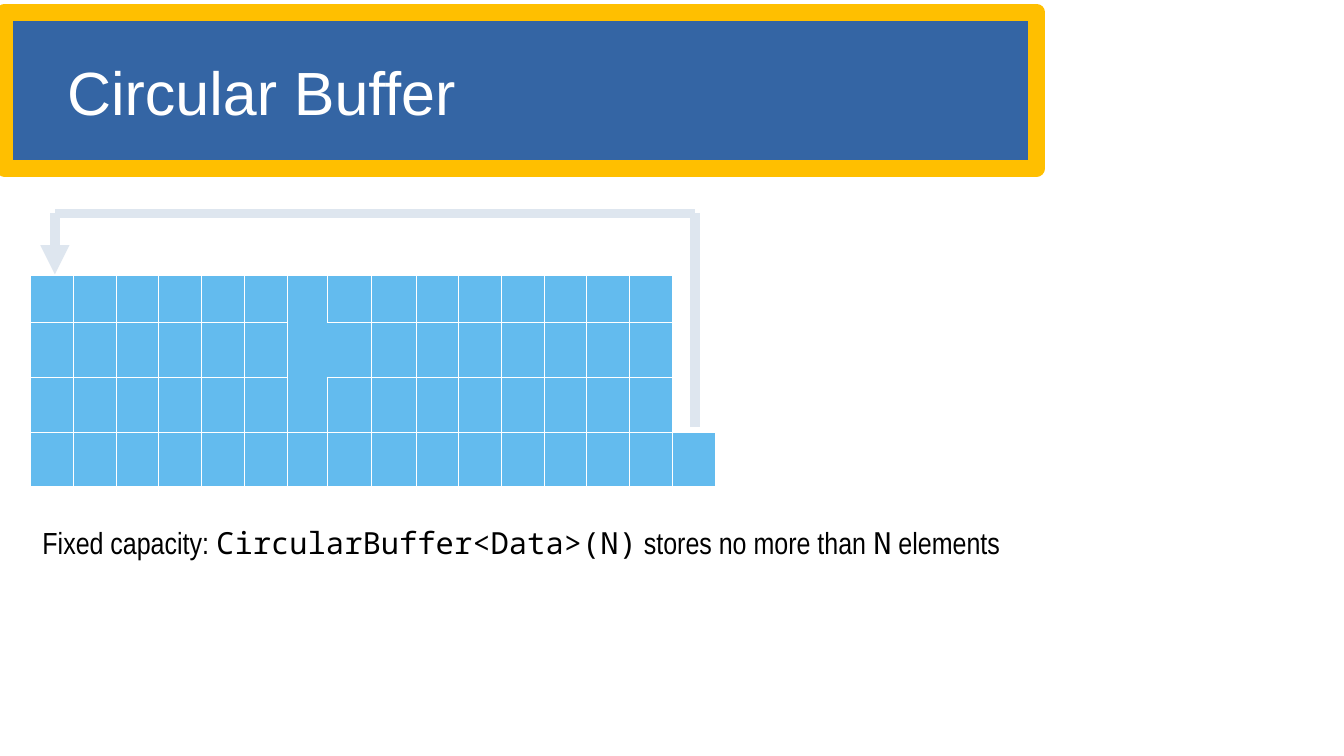
"""Build the Circular Buffer slide."""
from itertools import pairwise

from lxml import etree
from pptx import Presentation
from pptx import util as u
from pptx.dml.color import RGBColor
from pptx.enum import shapes, text
from pptx.oxml.ns import qn

WHITE, CELL_BLUE, ARROW_GREY = "FFFFFF", "63BBEE", "DEE6EF"
COL_WIDTHS = [0.35] * 6 + [0.33, 0.36, 0.37] + [0.35] * 7
ROW_HEIGHTS = [0.38] + [0.45] * 3
OPEN_CELL = (1, 6)
SIDES = {"L": (0, -1), "R": (0, 1), "T": (-1, 0), "B": (1, 0)}
NO_STYLE = "{2D5ABB26-0587-4C30-8999-92F81FD0307C}"


def color(value):
    """Turn a hex string into a colour."""
    return RGBColor.from_string(value)


def inches(*values):
    """Turn numbers into lengths."""
    return [u.Inches(v) for v in values]


def add_banner(slide, box, fill, line, width):
    """Add the filled title banner with its thick frame."""
    sp = slide.shapes.add_shape(shapes.MSO_SHAPE.RECTANGLE, *inches(*box))
    sp.shadow.inherit = False
    sp.fill.solid()
    sp.fill.fore_color.rgb = color(fill)
    sp.line.color.rgb = color(line)
    sp.line.width = u.Pt(width)


def add_text(slide, box, runs, size, hue, margins=(0.1, 0.05),
             anchor=text.MSO_ANCHOR.TOP):
    """Add one paragraph made of (words, font) runs."""
    tf = slide.shapes.add_textbox(*inches(*box)).text_frame
    tf.word_wrap = True
    tf.vertical_anchor = anchor
    tf.margin_left = tf.margin_right = u.Inches(margins[0])
    tf.margin_top = tf.margin_bottom = u.Inches(margins[1])
    p = tf.paragraphs[0]
    for words, font in runs:
        r = p.add_run()
        r.text = words
        r.font.name = font
        r.font.size = u.Pt(size)
        r.font.color.rgb = color(hue)


def add_border(cell, side, hue, width):
    """Draw one side of a table cell."""
    ln = etree.SubElement(cell._tc.get_or_add_tcPr(), qn(f"a:ln{side}"),
                          w=str(u.Pt(width)))
    fill = etree.SubElement(ln, qn("a:solidFill"))
    etree.SubElement(fill, qn("a:srgbClr"), val=hue)


def add_buffer(slide, left, top):
    """Add the buffer grid, whose last column is used only in the last row."""
    rows, cols = len(ROW_HEIGHTS), len(COL_WIDTHS)
    size = inches(left, top, sum(COL_WIDTHS), sum(ROW_HEIGHTS))
    table = slide.shapes.add_table(rows, cols, *size).table
    table.first_row = table.horz_banding = False
    table._tbl.tblPr.find(qn("a:tableStyleId")).text = NO_STYLE
    for col, width in zip(table.columns, COL_WIDTHS):
        col.width = u.Inches(width)
    for i, height in enumerate(ROW_HEIGHTS):
        table.rows[i].height = u.Inches(height)
        for j in range(cols):
            cell = table.cell(i, j)
            cell.margin_top = cell.margin_bottom = 0
            for side, (di, dj) in SIDES.items():
                if OPEN_CELL not in ((i, j), (i + di, j + dj)):
                    add_border(cell, side, WHITE, 0.06)
            unused = j == cols - 1 and i < rows - 1
            cell.fill.solid()
            cell.fill.fore_color.rgb = color(WHITE if unused else CELL_BLUE)


def add_line(slide, start, end, arrow=False):
    """Add one straight piece of the wrap-around arrow."""
    line = slide.shapes.add_connector(shapes.MSO_CONNECTOR.STRAIGHT,
                                      *inches(*start, *end))
    line.line.color.rgb = color(ARROW_GREY)
    line.line.width = u.Pt(5.75)
    if arrow:
        etree.SubElement(line.line._get_or_add_ln(), qn("a:tailEnd"),
                         type="triangle")
    etree.SubElement(line._element.spPr, qn("a:effectLst"))


def main():
    """Put the slide together and save it."""
    prs = Presentation()
    prs.slide_width, prs.slide_height = inches(11.02, 6.2)
    slide = prs.slides.add_slide(prs.slide_layouts[6])

    add_banner(slide, (0.04, 0.1, 8.46, 1.28), "3465A4", "FFBF00", 10.09)
    add_text(slide, (0.55, 0.24, 7.68, 1.02), [("Circular Buffer", "Arial")],
             36, WHITE, (0, 0), text.MSO_ANCHOR.MIDDLE)

    narrow, mono = "Arial Narrow", "Noto Sans Mono"
    add_text(slide, (0.25, 4.25, 8.25, 0.6), [
        ("Fixed capacity: ", narrow),
        ("CircularBuffer<Data>(N)", mono),
        (" stores no more than ", narrow),
        ("N", mono),
        (" elements", narrow),
    ], 18, "000000")

    add_buffer(slide, 0.25, 2.26)
    corners = [(5.7, 3.5), (5.7, 1.75), (0.45, 1.75), (0.45, 2.25)]
    for start, end in pairwise(corners):
        add_line(slide, start, end, arrow=end == corners[-1])

    prs.save("out.pptx")


if __name__ == "__main__":
    main()
